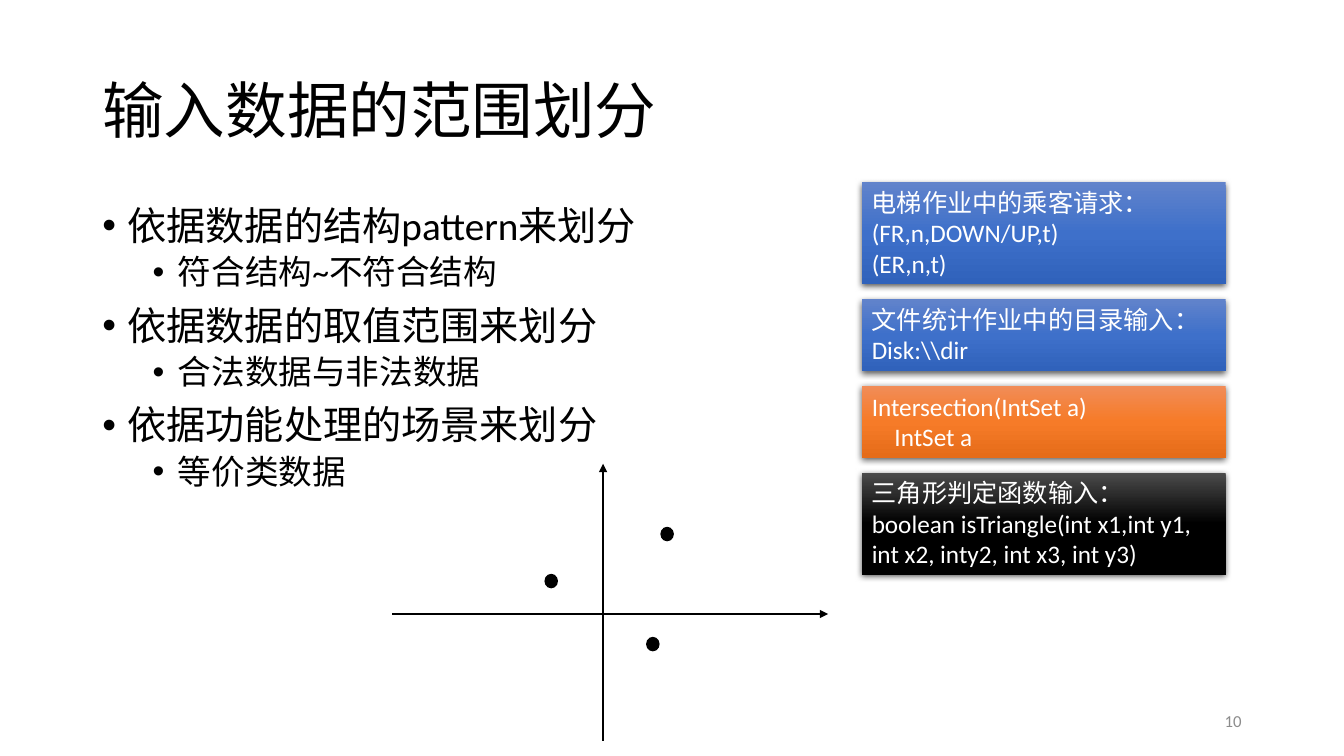
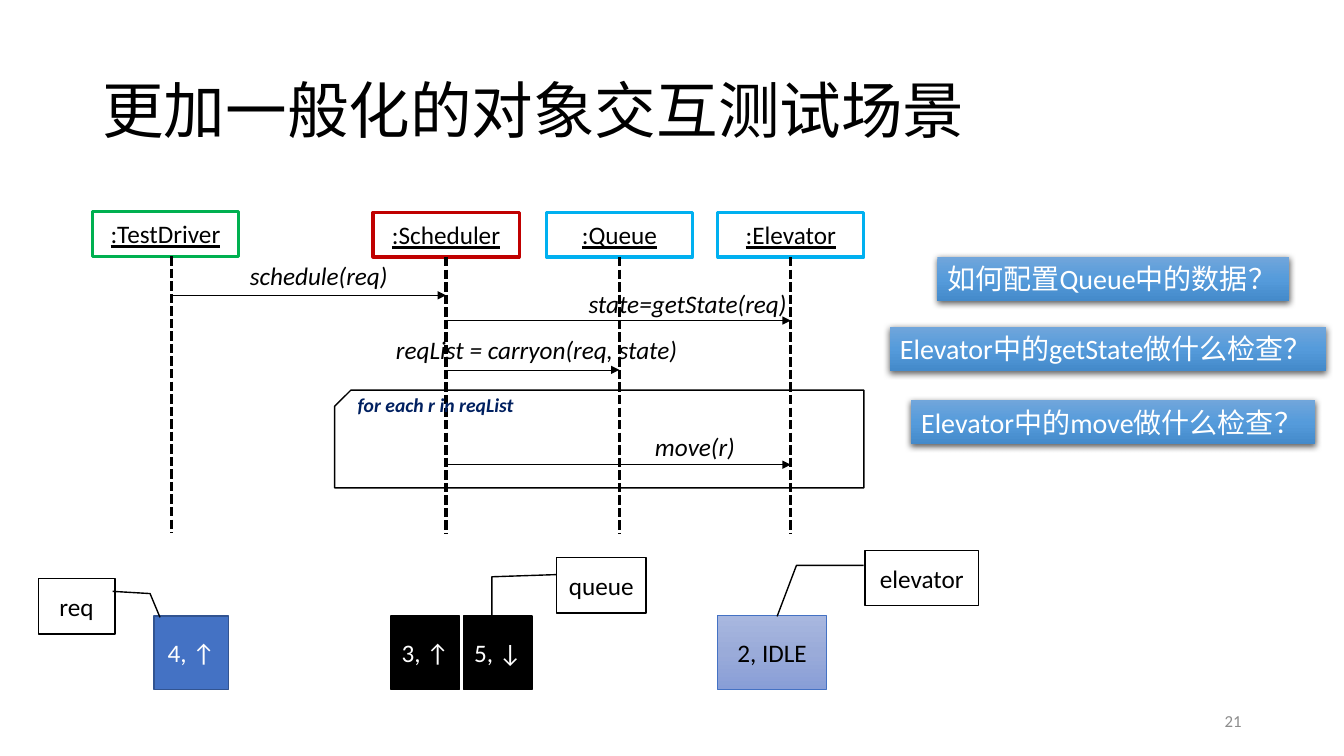
from dataclasses import dataclass

from lxml.etree import SubElement
from pptx import Presentation
from pptx.dml.color import RGBColor as RGB
from pptx.enum.lang import MSO_LANGUAGE_ID as LANG
from pptx.enum.dml import MSO_LINE as DASH
from pptx.enum.shapes import MSO_CONNECTOR as CONN, MSO_SHAPE as SHAPE
from pptx.enum.text import MSO_ANCHOR as ANCHOR, MSO_AUTO_SIZE as AUTO, PP_ALIGN as ALIGN
from pptx.oxml import parse_xml
from pptx.oxml.ns import nsdecls, qn
from pptx.util import Emu, Inches, Pt


@dataclass(frozen=True)
class Theme:
    font: str = "Calibri"
    title: int = 44
    bullets: tuple = (28, 24)
    question: int = 20
    text: int = 18
    guard: int = 14
    page: int = 12
    black: str = "000000"
    white: str = "FFFFFF"
    grey: str = "8C8C8C"
    navy: str = "002060"
    blue: str = "4472C4"
    dark_blue: str = "325491"
    green: str = "00B050"
    red: str = "C00000"
    cyan: str = "00B0F0"
    blue_fade: tuple = ("6183CB", "3E70CA", "3062BB")
    orange_fade: tuple = ("F18C57", "F67B28", "E56C19")
    black_fade: tuple = ("4B4B4B", "000000", "000000")
    sky_fade: tuple = ("71A6DB", "559BDB", "448ACA")
    pale_fade: tuple = ("A8B7DF", "9AABD9", "889ED7")


T = Theme()
prs = Presentation()
prs.slide_width, prs.slide_height = Inches(40 / 3), Inches(7.5)
CELL = prs.slide_width / 160  # square grid: 160 columns by 90 rows


def add_box(s, at, lines=(), kind=None, fill=None, edge=None, weight=1, size=T.text,
            color=T.black, align=ALIGN.LEFT, anchor=ANCHOR.TOP, wrap=True,
            grow=False, raised=False, **style):
    """Add a shape, or a text box without kind; a tuple as fill is a downward gradient."""
    at = [Emu(round(v * CELL)) for v in at]
    sp = s.shapes.add_shape(kind, *at) if kind else s.shapes.add_textbox(*at)
    spPr = sp._element.spPr
    sp.fill.background()
    if isinstance(fill, tuple):
        stops = "".join(f'<a:gs pos="{i * 50000}"><a:srgbClr val="{c}"/></a:gs>'
                        for i, c in enumerate(fill))
        spPr.replace(spPr.find(qn("a:noFill")), parse_xml(
            f'<a:gradFill {nsdecls("a")} rotWithShape="1"><a:gsLst>{stops}</a:gsLst>'
            '<a:lin ang="5400000" scaled="0"/></a:gradFill>'))
    elif fill:
        sp.fill.solid()
        sp.fill.fore_color.rgb = RGB.from_string(fill)
    sp.line.fill.background()
    if edge:
        sp.line.color.rgb = RGB.from_string(edge)
        sp.line.width = Pt(weight)
    sp.shadow.inherit = False
    if raised:
        spPr.find(qn("a:effectLst")).append(parse_xml(
            f'<a:outerShdw {nsdecls("a")} blurRad="57150" dist="19050" dir="5400000" '
            'algn="ctr" rotWithShape="0"><a:srgbClr val="000000">'
            '<a:alpha val="63000"/></a:srgbClr></a:outerShdw>'))
    tf = sp.text_frame
    tf.word_wrap, tf.vertical_anchor = wrap, anchor
    tf.auto_size = AUTO.SHAPE_TO_FIT_TEXT if grow else AUTO.NONE
    for i, text in enumerate(lines):
        p = tf.add_paragraph() if i else tf.paragraphs[0]
        p.alignment = align
        r = p.add_run()
        r.text = text
        r.font.name, r.font.size = T.font, Pt(size)
        r.font.color.rgb = RGB.from_string(color)
        r.font.language_id = LANG.SIMPLIFIED_CHINESE
        for name, value in style.items():
            setattr(r.font, name, value)
    return sp


def add_line(s, x1, y1, x2, y2, weight, arrow=True):
    """Add a black line: solid with an arrowhead, or dashed without."""
    cn = s.shapes.add_connector(
        CONN.STRAIGHT, *[Emu(round(v * CELL)) for v in (x1, y1, x2, y2)])
    cn.line.color.rgb = RGB.from_string(T.black)
    cn.line.width = Pt(weight)
    spPr = cn._element.spPr
    if arrow:
        SubElement(spPr.find(qn("a:ln")), qn("a:tailEnd"), type="triangle")
    else:
        cn.line.dash_style = DASH.SQUARE_DOT
    SubElement(spPr, qn("a:effectLst"))
    return cn


# Shared frame: title and page number
slides = []
for title, page in (("输入数据的范围划分", "10"), ("更加一般化的对象交互测试场景", "21")):
    s = prs.slides.add_slide(prs.slide_layouts[6])
    sp = add_box(s, (11, 4.8, 138, 17.4), [title], size=T.title, anchor=ANCHOR.MIDDLE)
    sp.text_frame.paragraphs[0].line_spacing = 0.9
    add_box(s, (113, 83.4, 36, 4.8), [page], size=T.page, color=T.grey,
            align=ALIGN.RIGHT, anchor=ANCHOR.MIDDLE)
    slides.append(s)
ranges, scenario = slides

# Input ranges: bullets alternate between two levels
sp = add_box(ranges, (11, 24, 138, 57.12), [
    "依据数据的结构pattern来划分", "符合结构~不符合结构",
    "依据数据的取值范围来划分", "合法数据与非法数据",
    "依据功能处理的场景来划分", "等价类数据"])
for i, p in enumerate(sp.text_frame.paragraphs):
    p.level = i % 2
    p.line_spacing, p.space_before = 0.9, Pt((10, 5)[p.level])
    p.runs[0].font.size = Pt(T.bullets[p.level])
    pPr = p._p.get_or_add_pPr()
    pPr.set("marL", str(round((3, 9)[p.level] * CELL)))
    pPr.set("indent", str(round(-3 * CELL)))
    SubElement(pPr, qn("a:buFont"), typeface="Arial")
    SubElement(pPr, qn("a:buChar"), char="•")

# Example cards stacked with equal gaps
top = 21.72
for fill, lines in (
        (T.blue_fade, ["电梯作业中的乘客请求：", "(FR,n,DOWN/UP,t)", "(ER,n,t)"]),
        (T.blue_fade, ["文件统计作业中的目录输入：", "Disk:\\\\dir"]),
        (T.orange_fade, ["Intersection(IntSet a)", "IntSet a"]),
        (T.black_fade, ["三角形判定函数输入：",
                        "boolean isTriangle(int x1,int y1, int x2, inty2, int x3, int y3)"])):
    height = 8.52 if len(lines) == 2 and fill != T.black_fade else 12.12
    sp = add_box(ranges, (102.6, top, 43.32, height), lines, SHAPE.RECTANGLE, fill,
                 color=T.white, grow=True, raised=True)
    if fill == T.orange_fade:
        pPr = sp.text_frame.paragraphs[1]._p.get_or_add_pPr()
        pPr.set("marL", str(round(2.7 * CELL)))
    top += height + 1.8

# Axes and the three points of the triangle
add_line(ranges, 46.7, 73.1, 98.6, 73.1, 1.5)
add_line(ranges, 71.8, 88.2, 71.8, 55.2, 1.5)
for x, y in ((78.7, 62.8), (64.9, 68.4), (77, 75.9)):
    add_box(ranges, (x, y, 1.44, 1.56), kind=SHAPE.OVAL, fill=T.black, edge=T.black)

# Sequence diagram: objects with their lifelines
HEAD_W, HEAD_H = 17.4, 5.3
lifelines = {}
for name, left, top, offset, color in (
        ("TestDriver", 11, 25.2, 0.7, T.green), ("Scheduler", 44.4, 25.3, 0, T.red),
        ("Queue", 65.04, 25.3, 0, T.cyan), ("Elevator", 85.44, 25.3, 0, T.cyan)):
    head = add_box(scenario, (left, top, HEAD_W, HEAD_H), [f":{name}"], SHAPE.RECTANGLE,
                   T.white, color, 2.25, align=ALIGN.CENTER, anchor=ANCHOR.MIDDLE,
                   underline=True)
    x = lifelines[name] = left + HEAD_W / 2 + offset
    cn = add_line(scenario, x, top + HEAD_H, x, top + 38.3, 2.25, arrow=False)
    if not offset:
        cn.begin_connect(head, 2)

# Loop frame, its guard and the messages
frame = add_box(scenario, (39.84, 46.44, 63, 11.64), kind=SHAPE.SNIP_1_RECTANGLE, edge=T.black)
frame._element.spPr.xfrm.set("flipH", "1")
add_box(scenario, (41.4, 46.2, 21.12, 4.08), ["for each r in reqList"], size=T.guard,
        color=T.navy, wrap=False, grow=True, bold=True, italic=True)
for start, end, y, text, left, top, width in (
        ("TestDriver", "Scheduler", 35.16, "schedule(req)", 28.56, 30.36, 19.44),
        ("Scheduler", "Elevator", 38.16, "state=getState(req)", 68.88, 33.72, 27),
        ("Scheduler", "Queue", 44.04, "reqList = carryon(req, state)", 45.96, 39.24, 36.24),
        ("Scheduler", "Elevator", 55.32, "move(r)", 76.8, 50.76, 12)):
    add_line(scenario, lifelines[start], y, lifelines[end], y, 0.5)
    add_box(scenario, (left, top, width, 4.8), [text], wrap=False, grow=True, italic=True)

# Questions beside the diagram
for left, top, width, text in (
        (111.6, 30.6, 41.88, "如何配置Queue中的数据？"),
        (105.96, 38.88, 51.96, "Elevator中的getState做什么检查？"),
        (108.48, 47.64, 48.12, "Elevator中的move做什么检查？")):
    add_box(scenario, (left, top, width, 5.28), [text], SHAPE.RECTANGLE, T.sky_fade,
            size=T.question, color=T.white, wrap=False, grow=True, raised=True)

# Object states and the callouts naming them
for left, width, text, fill, edge, weight, color in (
        (46.56, 8.16, "3, ↑", T.black, T.black, 1, T.white),
        (55.2, 8.16, "5, ↓", T.black, T.black, 1, T.white),
        (85.44, 12.96, "2, IDLE", T.pale_fade, T.blue, 0.5, T.black),
        (18.36, 8.88, "4, ↑", T.blue, T.dark_blue, 1, T.white)):
    add_box(scenario, (left, 73.32, width, 8.76), [text], SHAPE.RECTANGLE, fill, edge, weight,
            color=color, align=ALIGN.CENTER, anchor=ANCHOR.MIDDLE)
for left, top, width, text, bends in (
        (4.56, 68.88, 9.12, "req", (0.23, 0.97, 0.27, 1.46, 0.7, 1.59)),
        (66.24, 66.36, 10.68, "queue", (0.31, 0, 0.35, -0.72, 1.05, -0.72)),
        (102.96, 65.52, 13.56, "elevator", (0.27, -0.01, 0.27, -0.6, 1.19, -0.77))):
    sp = add_box(scenario, (left, top, width, 6.6), [text], SHAPE.LINE_CALLOUT_2, T.white,
                 T.black, align=ALIGN.CENTER, anchor=ANCHOR.MIDDLE)
    for i, bend in enumerate(bends):
        sp.adjustments[i] = bend

prs.save("out.pptx")
